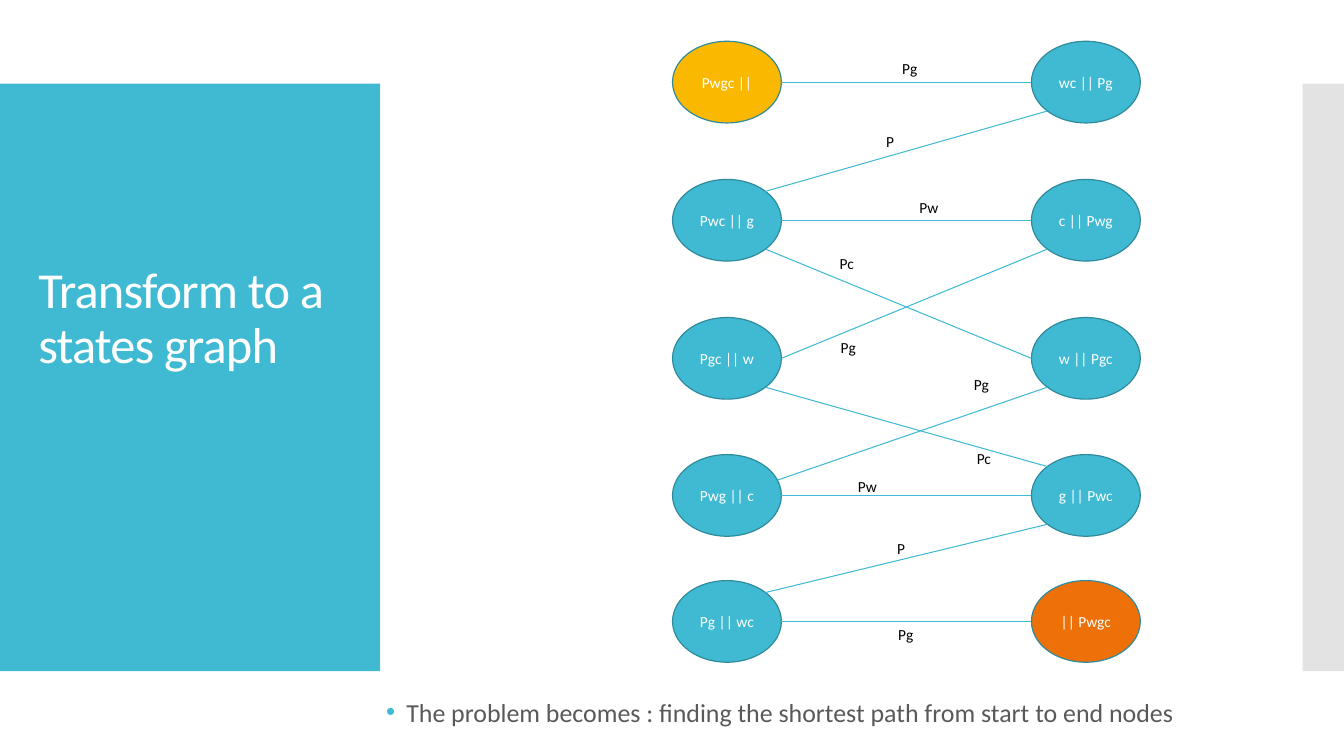
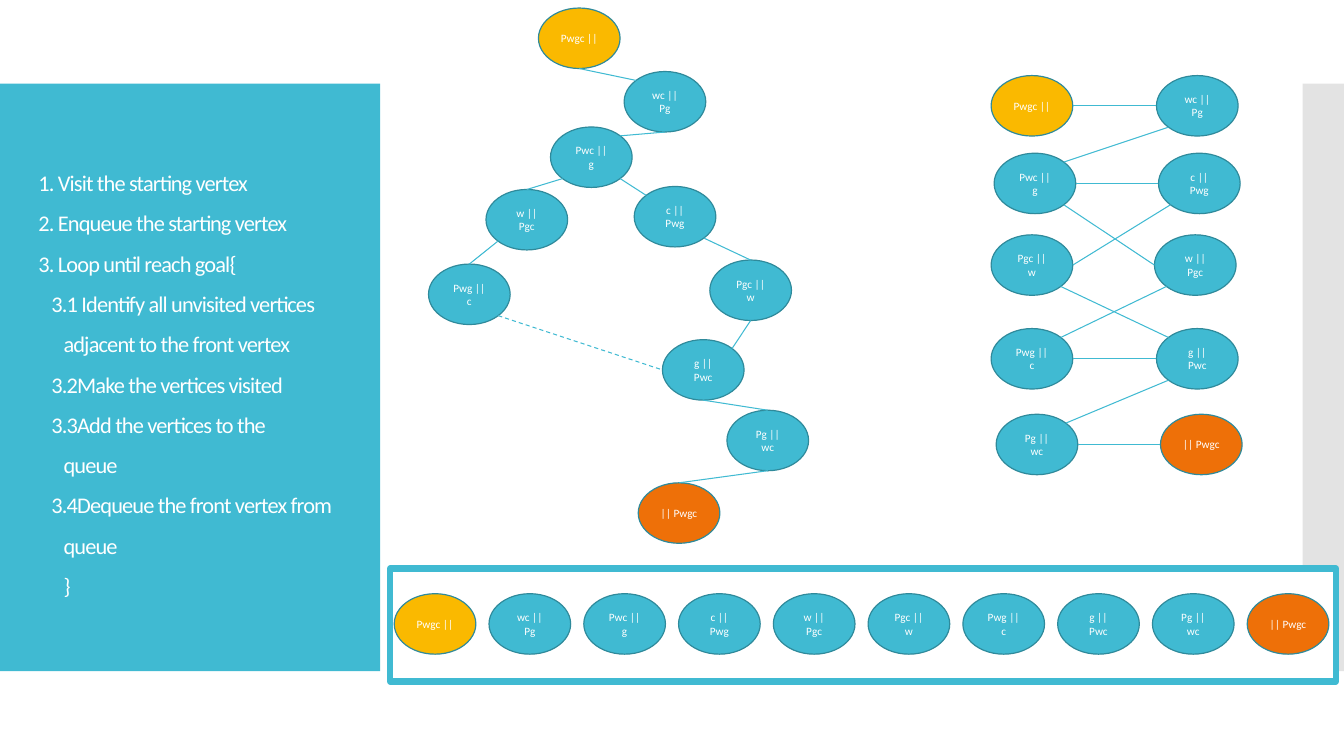
"""Build two slides on solving the river crossing as a graph search."""
import math

from lxml import etree
from pptx import Presentation
from pptx import util as u
from pptx.dml import color
from pptx.enum import dml, shapes, text
from pptx.oxml import ns

TEAL = color.RGBColor(0x40, 0xBA, 0xD2)
OUTLINE = color.RGBColor(0x2F, 0x8A, 0x9B)
AMBER = color.RGBColor(0xFA, 0xB9, 0x00)
ORANGE = color.RGBColor(0xEE, 0x70, 0x08)
SILVER = color.RGBColor(0xC8, 0xC8, 0xC8)
GREY = color.RGBColor(0x59, 0x59, 0x59)
WHITE = color.RGBColor(0xFF, 0xFF, 0xFF)
BLACK = color.RGBColor(0x00, 0x00, 0x00)

LARGE = (1.08, 0.81, 11)
SMALL = (0.81, 0.6, 8)
ANGLES = {"e": 0, "ene": -22, "ne": -45, "n": -90, "nw": -135,
          "w": 180, "sw": 135, "s": 90, "se": 45}

START, GOAL = "Pwgc ||", "|| Pwgc"
LEFT_BANK = [START, "Pwc || g", "Pgc || w", "Pwg || c", "Pg || wc"]
RIGHT_BANK = ["wc || Pg", "c || Pwg", "w || Pgc", "g || Pwc", GOAL]
VISIT_ORDER = [START, "wc || Pg", "Pwc || g", "c || Pwg", "w || Pgc",
               "Pgc || w", "Pwg || c", "g || Pwc", "Pg || wc", GOAL]
CROSSINGS = {
    (START, "wc || Pg"): ("e", "w"),
    ("wc || Pg", "Pwc || g"): ("sw", "ne"),
    ("Pwc || g", "c || Pwg"): ("e", "w"),
    ("Pwc || g", "w || Pgc"): ("se", "w"),
    ("c || Pwg", "Pgc || w"): ("sw", "e"),
    ("w || Pgc", "Pwg || c"): ("sw", "ne"),
    ("Pwg || c", "g || Pwc"): ("e", "w"),
    ("g || Pwc", "Pg || wc"): ("sw", "ne"),
    ("Pg || wc", GOAL): ("e", "w"),
    ("Pgc || w", "g || Pwc"): ("se", "nw"),
}
SEARCH_TREE = {
    (START, "wc || Pg"): ("s", "nw"),
    ("wc || Pg", "Pwc || g"): ("s", "ne"),
    ("Pwc || g", "c || Pwg"): ("se", "nw"),
    ("Pwc || g", "w || Pgc"): ("sw", "n"),
    ("c || Pwg", "Pgc || w"): ("se", "n"),
    ("w || Pgc", "Pwg || c"): ("sw", "n"),
    ("g || Pwc", "Pg || wc"): ("s", "n"),
    ("Pg || wc", GOAL): ("s", "n"),
    ("Pgc || w", "g || Pwc"): ("s", "ne"),
}


def assign(target, values):
    for name, value in values.items():
        setattr(target, name, value)


def inches(*values):
    return [u.Inches(value) for value in values]


class Deck:
    def __init__(self):
        self.presentation = Presentation()
        assign(self.presentation, {"slide_width": u.Inches(13.33), "slide_height": u.Inches(7.5)})
        self.slide = None

    def new_slide(self, layout_index):
        layout = self.presentation.slide_layouts[layout_index]
        self.slide = self.presentation.slides.add_slide(layout)
        if len(self.presentation.slides) == 1:
            self.add_master_bands()

    def add_master_bands(self):
        side_band = self.box(0, 0.83, 3.77, 5.83, TEAL)
        edge_band = self.box(12.92, 0.83, 0.41, 5.83, SILVER)
        edge_color = edge_band.element.find(".//" + ns.qn("a:srgbClr"))
        etree.SubElement(edge_color, ns.qn("a:alpha"), val="50000")
        for band in (edge_band, side_band):
            self.presentation.slide_master.shapes.element.insert(2, band.element)

    def place(self, shape, left, top, width, height):
        assign(shape, dict(zip(("left", "top", "width", "height"),
                               inches(left, top, width, height))))

    def set_text(self, paragraph, content, size, ink, **layout):
        paragraph.text = content
        assign(paragraph, layout)
        for run in paragraph.runs:
            assign(run.font, {"name": "Calibri", "size": u.Pt(size)})
            run.font.color.rgb = ink

    def title(self, lines, size, line_spacing, margin_bottom=0.05):
        title = self.slide.shapes.title
        self.place(title, 0.28, 1.23, 3.22, 5.03)
        frame = title.text_frame
        assign(frame, {"word_wrap": True, "auto_size": text.MSO_AUTO_SIZE.NONE,
                       "vertical_anchor": text.MSO_ANCHOR.MIDDLE,
                       "margin_bottom": u.Inches(margin_bottom)})
        for index, (content, is_substep) in enumerate(lines):
            paragraph = frame.add_paragraph() if index else frame.paragraphs[0]
            self.set_text(paragraph, content, size, WHITE, line_spacing=line_spacing,
                          space_before=u.Pt(0), alignment=text.PP_ALIGN.LEFT)
            if is_substep:
                self.indent(paragraph, 0.25, -0.12)
        for run_properties in title.element.iter(ns.qn("a:rPr")):
            run_properties.set("spc", "-60")

    def indent(self, paragraph, margin, first_line):
        properties = paragraph._p.get_or_add_pPr()
        properties.set("marL", str(u.Inches(margin)))
        properties.set("indent", str(u.Inches(first_line)))
        return properties

    def bullet(self, content, left, top, width, height):
        body = self.slide.placeholders[1]
        self.place(body, left, top, width, height)
        assign(body.text_frame, {"word_wrap": True, "auto_size": text.MSO_AUTO_SIZE.NONE,
                                 "vertical_anchor": text.MSO_ANCHOR.MIDDLE})
        paragraph = body.text_frame.paragraphs[0]
        self.set_text(paragraph, content, 18.5, GREY, line_spacing=0.8, space_before=u.Pt(12))
        properties = self.indent(paragraph, 0.2, -0.2)
        bullet_color = etree.SubElement(properties, ns.qn("a:buClr"))
        etree.SubElement(bullet_color, ns.qn("a:srgbClr"), val=str(TEAL))
        etree.SubElement(properties, ns.qn("a:buChar"), char="•")

    def box(self, left, top, width, height, fill, line=None, line_width=0.85,
            kind=shapes.MSO_SHAPE.RECTANGLE):
        shape = self.slide.shapes.add_shape(kind, *inches(left, top, width, height))
        shape.shadow.inherit = False
        shape.fill.solid()
        shape.fill.fore_color.rgb = fill
        if line is None:
            shape.line.fill.background()
        else:
            shape.line.color.rgb = line
            shape.line.width = u.Pt(line_width)
        return shape

    def node(self, state, left, top, style):
        width, height, size = style
        fill = {START: AMBER, GOAL: ORANGE}.get(state, TEAL)
        shape = self.box(left, top, width, height, fill, OUTLINE, kind=shapes.MSO_SHAPE.OVAL)
        assign(shape.text_frame, {"word_wrap": True, "vertical_anchor": text.MSO_ANCHOR.MIDDLE})
        self.set_text(shape.text_frame.paragraphs[0], state, size, WHITE,
                      alignment=text.PP_ALIGN.CENTER)
        return shape

    def rim_point(self, node, side):
        angle = math.radians(ANGLES[side])
        return (round(node.left + node.width / 2 * (1 + math.cos(angle))),
                round(node.top + node.height / 2 * (1 + math.sin(angle))))

    def edge(self, source, target, sides, dashed=False):
        connector = self.slide.shapes.add_connector(
            shapes.MSO_CONNECTOR.STRAIGHT,
            *self.rim_point(source, sides[0]), *self.rim_point(target, sides[1]))
        connector.line.color.rgb = TEAL
        connector.line.width = u.Pt(0.75)
        if dashed:
            connector.line.dash_style = dml.MSO_LINE.DASH
        etree.SubElement(connector.element.spPr, ns.qn("a:effectLst"))

    def graph(self, positions, edges, style):
        nodes = {state: self.node(state, *place, style) for state, place in positions.items()}
        for (source, target), sides in edges.items():
            self.edge(nodes[source], nodes[target], sides)
        return nodes

    def label(self, content, left, top):
        label = self.slide.shapes.add_textbox(*inches(left, top, 0.6, 0.29))
        label.text_frame.word_wrap = True
        self.set_text(label.text_frame.paragraphs[0], content, 11, BLACK)


def add_states_slide(deck):
    deck.new_slide(1)
    deck.title([("Transform to a states graph", False)], 36, 0.9, margin_bottom=1.2)
    positions = {}
    for left_state, right_state, top in zip(LEFT_BANK, RIGHT_BANK,
                                            (0.41, 1.78, 3.15, 4.51, 5.76)):
        positions[left_state] = (6.67, top)
        positions[right_state] = (10.23, top)
    deck.graph(positions, {**CROSSINGS, ("w || Pgc", "Pwg || c"): ("sw", "ene")}, LARGE)
    for move, left, top in (("Pg", 8.85, 0.54), ("P", 8.69, 1.26), ("Pw", 9.02, 1.92),
                            ("Pc", 8.23, 2.47), ("Pg", 8.24, 3.31), ("Pg", 9.56, 3.67),
                            ("Pc", 9.59, 4.41), ("Pw", 8.41, 4.68), ("P", 8.8, 5.3),
                            ("Pg", 8.81, 6.15)):
        deck.label(move, left, top)
    deck.bullet("The problem becomes : finding the shortest path from start to end nodes",
                3.73, 6.9, 9.21, 0.38)


def add_search_slide(deck):
    deck.new_slide(5)
    deck.title([("1. Visit the starting vertex", False),
                ("2. Enqueue the starting vertex", False),
                ("3. Loop until reach goal{", False),
                ("3.1 Identify all unvisited vertices\vadjacent to the front vertex", True),
                ("3.2Make the vertices visited", True),
                ("3.3Add the vertices to the\vqueue", True),
                ("3.4Dequeue the front vertex from\vqueue", True),
                ("}", False)], 16, 1.5)
    rows = (0.75, 1.52, 2.33, 3.26, 4.11)
    left_places = zip((9.83, 9.86, 9.83, 9.83, 9.88), rows)
    right_places = zip((11.47, 11.49, 11.45, 11.47, 11.51), rows)
    deck.graph({**dict(zip(LEFT_BANK, left_places)), **dict(zip(RIGHT_BANK, right_places))},
               CROSSINGS, SMALL)
    tree = deck.graph({START: (5.34, 0.08), "wc || Pg": (6.19, 0.71),
                       "Pwc || g": (5.46, 1.26), "w || Pgc": (4.82, 1.88),
                       "c || Pwg": (6.29, 1.85), "Pwg || c": (4.25, 2.62),
                       "Pgc || w": (7.04, 2.58), "g || Pwc": (6.57, 3.37),
                       "Pg || wc": (7.21, 4.07), GOAL: (6.33, 4.79)}, SEARCH_TREE, SMALL)
    deck.edge(tree["Pwg || c"], tree["g || Pwc"], ("se", "w"), dashed=True)
    deck.box(3.87, 5.64, 9.38, 1.12, WHITE, TEAL, 4.5)
    for index, state in enumerate(VISIT_ORDER):
        deck.node(state, 3.91 + 0.94 * index, 5.89, SMALL)


def main():
    deck = Deck()
    add_states_slide(deck)
    add_search_slide(deck)
    deck.presentation.save("out.pptx")


if __name__ == "__main__":
    main()
